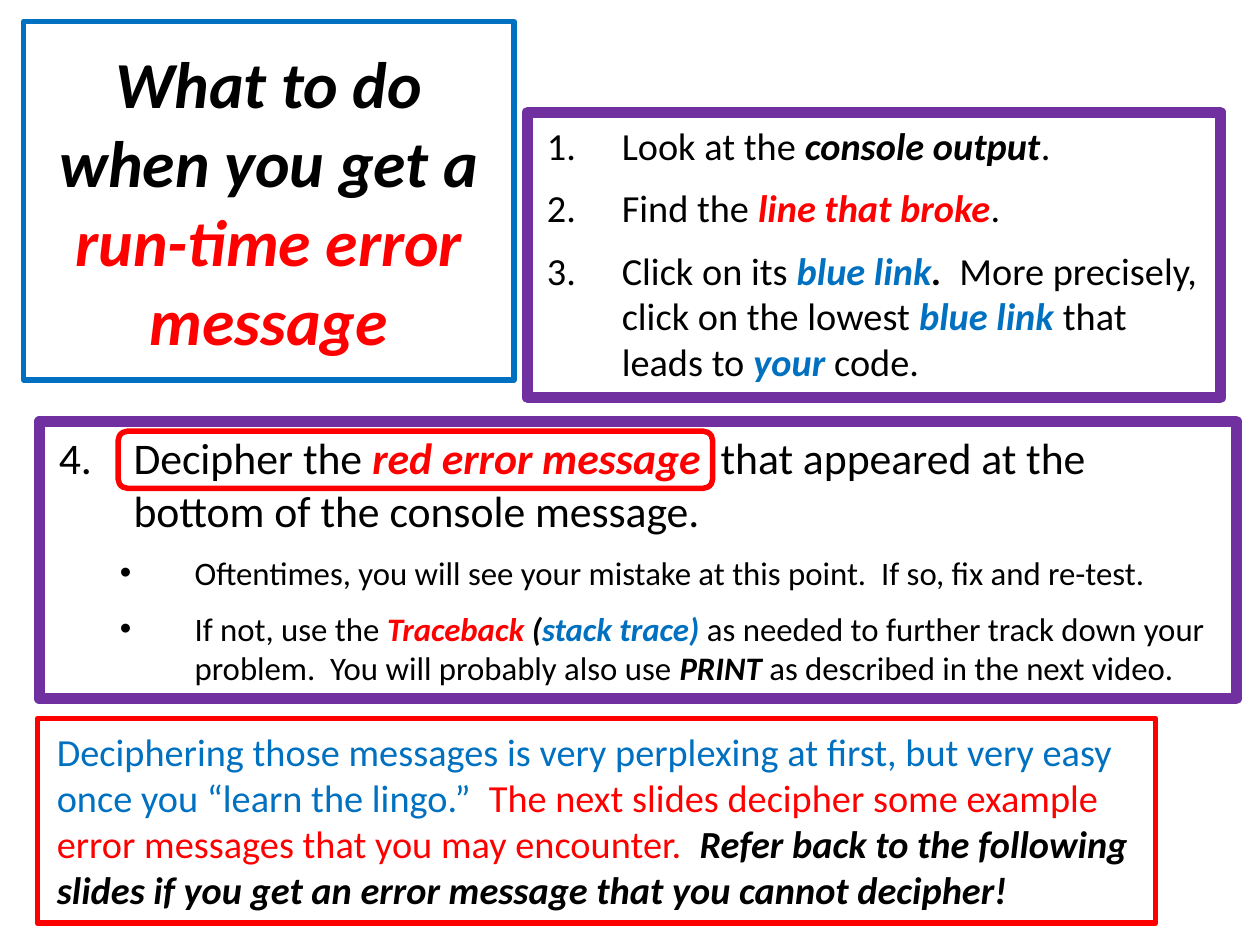
from lxml import etree
from pptx import Presentation
from pptx.dml.color import RGBColor
from pptx.enum.shapes import MSO_SHAPE
from pptx.enum.text import MSO_ANCHOR, MSO_AUTO_SIZE, PP_ALIGN
from pptx.oxml.ns import qn
from pptx.util import Inches, Pt

ROUNDED = MSO_SHAPE.ROUNDED_RECTANGLE
MIDDLE = MSO_ANCHOR.MIDDLE
GROW = MSO_AUTO_SIZE.SHAPE_TO_FIT_TEXT
CENTER = PP_ALIGN.CENTER
TITLE_ONLY = 5

FONT = "Calibri"
COLORS = {"black": "000000", "red": "FF0000", "blue": "0070C0",
          "purple": "7030A0", "white": "FFFFFF"}
HANGING = 0.38


def rgb(name):
    return RGBColor.from_string(COLORS[name])


def outline(sp, color, width):
    sp.line.color.rgb = rgb(color)
    sp.line.width = Pt(width)


def add_runs(p, runs, size):
    """Each run is (text, color, strong); strong means bold italic."""
    for text, color, strong in runs:
        r = p.add_run()
        r.text = text
        r.font.name = FONT
        r.font.size = Pt(size)
        r.font.bold = r.font.italic = strong
        r.font.color.rgb = rgb(color)


def set_bullet(p, left, number=None):
    """Hang a bullet, or an automatic number, to the left of the text."""
    pPr = p._p.get_or_add_pPr()
    pPr.set("marL", str(Inches(left)))
    pPr.set("indent", str(-Inches(HANGING)))
    if number:
        bu = etree.SubElement(pPr, qn("a:buAutoNum"), type="arabicPeriod")
        if number > 1:
            bu.set("startAt", str(number))
    else:
        etree.SubElement(pPr, qn("a:buFont"), typeface="Arial")
        etree.SubElement(pPr, qn("a:buChar"), char="•")


def add_panel(slide, box, color, width, fill=None):
    """Add an outlined text box and return its text frame."""
    sp = slide.shapes.add_textbox(*map(Inches, box))
    outline(sp, color, width)
    if fill:
        sp.fill.solid()
        sp.fill.fore_color.rgb = rgb(fill)
    tf = sp.text_frame
    tf.word_wrap = True
    tf.auto_size = GROW
    return tf


def add_paragraph(tf, runs, size):
    p = tf.paragraphs[0]
    if p.runs:
        p = tf.add_paragraph()
    p.space_before = Pt(6)
    add_runs(p, runs, size)
    return p


def add_title(slide, box, runs):
    sp = slide.shapes.title
    sp.left, sp.top, sp.width, sp.height = map(Inches, box)
    outline(sp, "blue", 2)
    tf = sp.text_frame
    tf.word_wrap = True
    tf.auto_size = GROW
    tf.vertical_anchor = MIDDLE
    tf.margin_left = tf.margin_right = Inches(0.1)
    tf.margin_top = tf.margin_bottom = Inches(0.1)
    p = tf.paragraphs[0]
    p.alignment = CENTER
    add_runs(p, runs, 24)


def add_highlight(slide, box):
    sp = slide.shapes.add_shape(ROUNDED, *map(Inches, box))
    sp.shadow.inherit = False
    sp.fill.background()
    outline(sp, "red", 2)


def main():
    prs = Presentation()
    prs.slide_width, prs.slide_height = Inches(6.4), Inches(4.8)
    slide = prs.slides.add_slide(prs.slide_layouts[TITLE_ONLY])

    add_title(slide, (0.12, 0.11, 2.49, 1.82), [
        ("What to do when you get a ", "black", True),
        ("run-time error message", "red", True)])

    # Steps 1 to 3
    steps = [
        [("Look at the ", "black", False),
         ("console output", "black", True),
         (".", "black", False)],
        [("Find the ", "black", False),
         ("line that broke", "red", True),
         (".", "black", False)],
        [("Click on its ", "black", False),
         ("blue link", "blue", True),
         (". ", "black", True),
         (" More precisely, click on the lowest ", "black", False),
         ("blue link ", "blue", True),
         ("that leads to ", "black", False),
         ("your ", "blue", True),
         ("code.", "black", False)],
    ]
    tf = add_panel(slide, (2.68, 0.57, 3.52, 1.45), "purple", 4, "white")
    for runs in steps:
        set_bullet(add_paragraph(tf, runs, 14), HANGING, number=1)

    # Closing advice
    tf = add_panel(slide, (0.19, 3.65, 5.68, 1.04), "red", 2)
    add_paragraph(tf, [
        ("Deciphering those messages is very perplexing at first, but very "
         "easy once you “learn the lingo.”  ", "blue", False),
        ("The next slides decipher some example error messages that you may "
         "encounter.  ", "red", False),
        ("Refer back to the following slides if you get an error message "
         "that you cannot decipher!", "black", True)], 14)

    # Step 4 with its two hints
    tf = add_panel(slide, (0.2, 2.14, 6.08, 1.41), "purple", 4, "white")
    p = add_paragraph(tf, [
        ("Decipher the ", "black", False),
        ("red error message  ", "red", True),
        ("that appeared at the bottom of the console message.",
         "black", False)], 16)
    set_bullet(p, HANGING, number=4)
    hints = [
        [("Oftentimes, you will see your mistake at this point.  If so, fix "
          "and re-test.", "black", False)],
        [("If not, use the ", "black", False),
         ("Traceback ", "red", True),
         ("(", "black", True),
         ("stack trace) ", "blue", True),
         ("as needed to further track down your problem.  You will probably "
          "also use ", "black", False),
         ("PRINT", "black", True),
         (" as described in the next video.", "black", False)],
    ]
    for runs in hints:
        p = add_paragraph(tf, runs, 12)
        p.level = 1
        set_bullet(p, 0.69)
    add_highlight(slide, (0.6, 2.19, 3.02, 0.29))

    prs.save("out.pptx")


if __name__ == "__main__":
    main()
